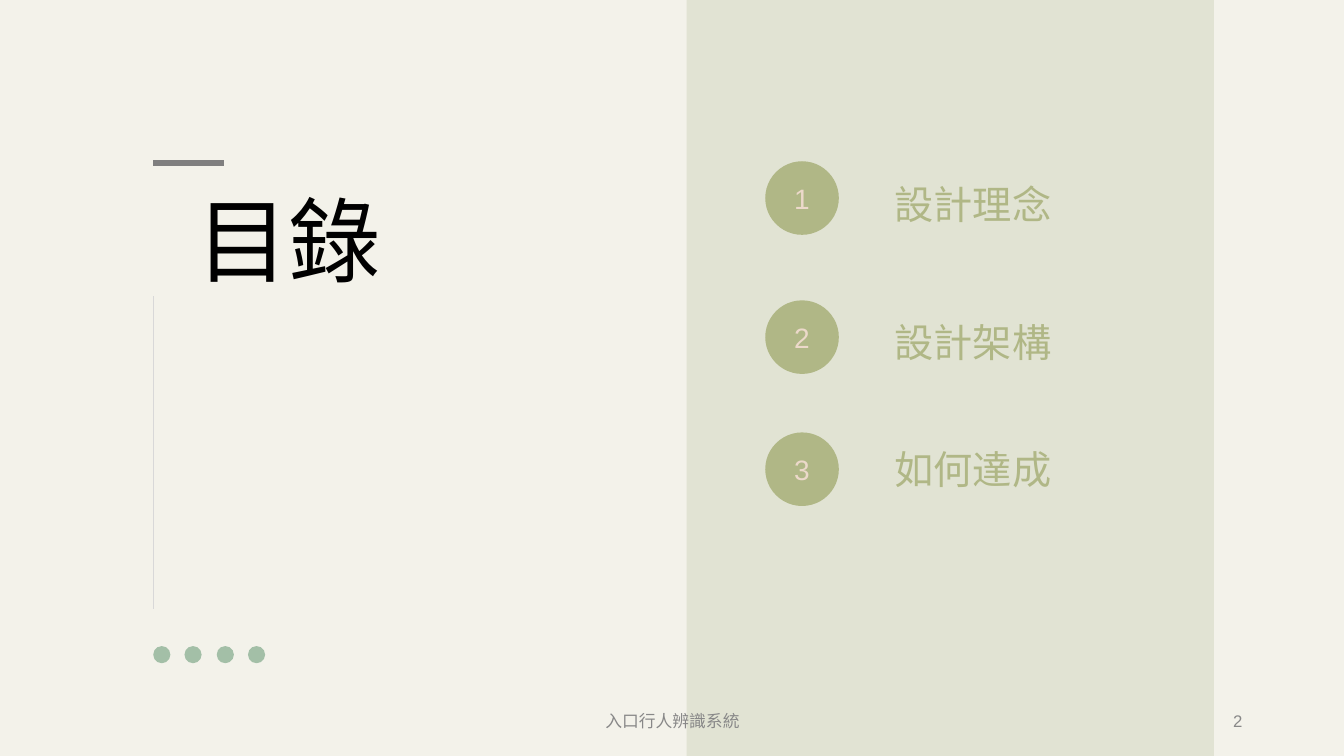
"""Build the agenda slide of a pedestrian recognition deck."""
from dataclasses import dataclass

from lxml import etree
from pptx import Presentation
from pptx.dml.color import RGBColor
from pptx.enum import shapes, text
from pptx.oxml import ns
from pptx.shapes.autoshape import Shape
from pptx.shapes.shapetree import GroupShapes, SlideShapes
from pptx.util import Emu, Pt

PX = 9144

CREAM = RGBColor(0xF3, 0xF2, 0xEA)
SAGE = RGBColor(0xE1, 0xE3, 0xD3)
OLIVE = RGBColor(0xB0, 0xB7, 0x86)
MINT = RGBColor(0xA3, 0xBF, 0xA7)
PEACH = RGBColor(0xEC, 0xD9, 0xCA)
BLACK = RGBColor(0, 0, 0)
LIGHT_GRAY = RGBColor(0xD8, 0xD8, 0xD8)
MID_GRAY = RGBColor(0x88, 0x88, 0x88)
DARK_GRAY = RGBColor(0x7F, 0x7F, 0x7F)

TOP, MIDDLE = text.MSO_ANCHOR.TOP, text.MSO_ANCHOR.MIDDLE
CENTER, RIGHT = text.PP_ALIGN.CENTER, text.PP_ALIGN.RIGHT
RECTANGLE, OVAL = shapes.MSO_SHAPE.RECTANGLE, shapes.MSO_SHAPE.OVAL

Tree = SlideShapes | GroupShapes


@dataclass(frozen=True)
class Box:
    left: int
    top: int
    width: int
    height: int

    def emu(self) -> list[Emu]:
        return [px(n) for n in (self.left, self.top, self.width, self.height)]


@dataclass(frozen=True)
class Style:
    size: int
    color: RGBColor
    font: str = "Arial"
    align: text.PP_ALIGN = CENTER
    anchor: text.MSO_ANCHOR = TOP
    spacing: float = 1.0


@dataclass(frozen=True)
class Topic:
    heading: str
    badge_top: int
    heading_top: int


@dataclass(frozen=True)
class Rule:
    start: tuple[int, int]
    end: tuple[int, int]
    color: RGBColor
    weight: float


@dataclass(frozen=True)
class Label:
    words: str
    box: Box
    style: Style


BADGE = Style(20, PEACH, anchor=MIDDLE)
HEADING = Style(28, OLIVE, spacing=1.2)

RULES = [
    Rule((152, 294), (152, 604), LIGHT_GRAY, 0.75),
    Rule((152, 162), (222, 162), DARK_GRAY, 4.5),
]
TOPICS = [
    Topic("設計理念", 160, 165),
    Topic("設計架構", 298, 302),
    Topic("如何達成", 429, 428),
]
LABELS = [
    Label("目錄", Box(152, 177, 269, 130), Style(66, BLACK)),
    Label("入口行人辨識系統", Box(442, 695, 450, 40),
          Style(12, MID_GRAY, font="Roboto", anchor=MIDDLE)),
    Label("2", Box(942, 695, 300, 40),
          Style(12, MID_GRAY, align=RIGHT, anchor=MIDDLE)),
]


def px(length: int) -> Emu:
    return Emu(length * PX)


def write(shape: Shape, words: str, style: Style) -> None:
    frame = shape.text_frame
    paragraph = frame.paragraphs[0]
    run = paragraph.add_run()
    run.text = words
    run.font.color.rgb = style.color
    formats = {
        frame: {"word_wrap": True, "vertical_anchor": style.anchor},
        paragraph: {"alignment": style.align, "line_spacing": style.spacing},
        run.font: {"name": style.font, "size": Pt(style.size)},
    }
    for target, values in formats.items():
        for attribute, value in values.items():
            setattr(target, attribute, value)


def draw_shape(tree: Tree, kind: shapes.MSO_SHAPE, box: Box, fill: RGBColor) -> Shape:
    shape = tree.add_shape(kind, *box.emu())
    shape.shadow.inherit = False
    shape.fill.solid()
    shape.fill.fore_color.rgb = fill
    shape.line.fill.background()
    return shape


def draw_label(tree: Tree, label: Label) -> None:
    write(tree.add_textbox(*label.box.emu()), label.words, label.style)


def draw_rule(tree: Tree, rule: Rule) -> None:
    ends = [px(n) for n in (*rule.start, *rule.end)]
    line = tree.add_connector(shapes.MSO_CONNECTOR.STRAIGHT, *ends)
    line.line.color.rgb = rule.color
    line.line.width = Pt(rule.weight)
    etree.SubElement(line._element.spPr, ns.qn("a:effectLst"))


def draw_dots(tree: Tree, count: int) -> None:
    dots = tree.add_group_shape().shapes
    for index in range(count):
        draw_shape(dots, OVAL, Box(152 + round(index * 31.4), 641, 17, 17), MINT)


def draw_topic(tree: Tree, number: int, topic: Topic) -> None:
    parts = tree.add_group_shape().shapes
    badge = draw_shape(parts, OVAL, Box(759, topic.badge_top, 73, 73), OLIVE)
    write(badge, str(number), BADGE)
    draw_label(parts, Label(topic.heading, Box(834, topic.heading_top, 262, 64), HEADING))


def main() -> None:
    deck = Presentation()
    deck.slide_width, deck.slide_height = px(1333), px(750)
    agenda = deck.slides.add_slide(deck.slide_layouts[6])
    agenda.background.fill.solid()
    agenda.background.fill.fore_color.rgb = CREAM
    tree = agenda.shapes

    draw_shape(tree, RECTANGLE, Box(681, 0, 523, 750), SAGE)
    for rule in RULES:
        draw_rule(tree, rule)
    draw_dots(tree, 4)
    for number, topic in enumerate(TOPICS, start=1):
        draw_topic(tree, number, topic)
    for label in LABELS:
        draw_label(tree, label)

    deck.save("out.pptx")


if __name__ == "__main__":
    main()
